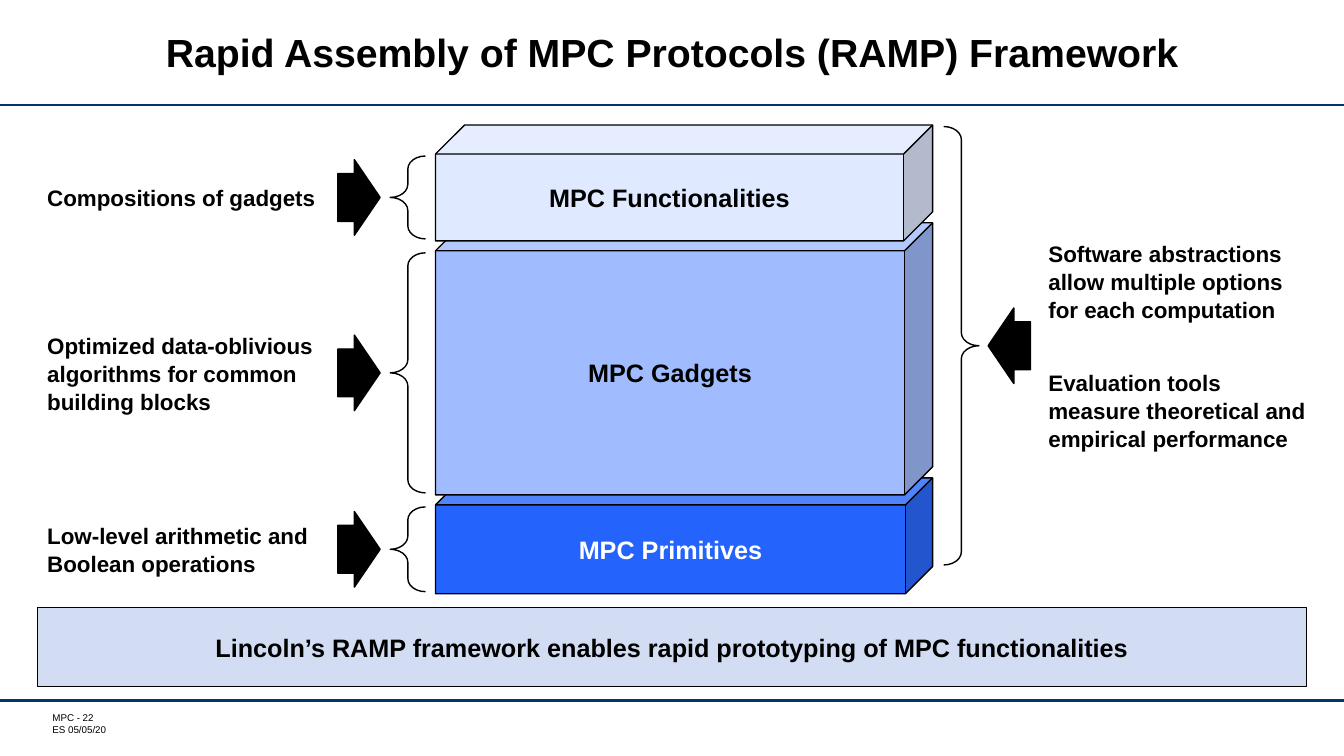
"""Build the RAMP framework slide: a stack of cubes with annotations on both sides."""
from dataclasses import dataclass

import pptx
import pptx.dml.color
import pptx.enum.shapes
import pptx.enum.text
import pptx.oxml
import pptx.oxml.ns
import pptx.util
from lxml import etree

TITLE = "Rapid Assembly of MPC Protocols (RAMP) Framework"
CONCLUSION = "Lincoln’s RAMP framework enables rapid prototyping of MPC functionalities"
FOOTER = ["MPC - 22", "ES 05/05/20"]
BENEFITS = [
    "Software abstractions allow multiple options for each computation",
    "Evaluation tools measure theoretical and empirical performance",
]
LAYERS = [
    dict(name="MPC Primitives", note="Low-level arithmetic and Boolean operations",
         row=(4.74, 1.15), depth=0.234, fill="0B52FC", opacity=89, color="FFFFFF",
         note_size=(3.22, 0.94)),
    dict(name="MPC Gadgets", note="Optimized data-oblivious algorithms for common building blocks",
         row=(2.21, 2.7), depth=0.103, fill="A0BCFE", opacity=100, color="000000",
         note_size=(2.92, 1.5)),
    dict(name="MPC Functionalities", note="Compositions of gadgets",
         row=(1.24, 1.15), depth=0.25, fill="DFE9FF", opacity=100, color="000000",
         note_size=(2.92, 0.94)),
]


@dataclass(frozen=True)
class Theme:
    font: str = "Arial"
    black: str = "000000"
    rule: str = "003767"
    banner: str = "D2DCF2"
    title_size: int = 28
    label_size: int = 18
    note_size: int = 16
    footer_size: int = 7
    title_leading: int = 28
    note_leading: int = 20
    note_gap: int = 32


THEME = Theme()
WIDTH, HEIGHT = 13.33, 7.5
MARGIN = 0.37
RULES = (1.04, 6.95)
STACK_LEFT, STACK_WIDTH = 4.32, 4.93
ARROW_LEFT, BRACE_LEFT = 3.35, 3.87
RIGHT_BRACE, RIGHT_ARROW, RIGHT_NOTE = 9.36, 9.8, 10.3
ARROW_SIZE = (0.42, 0.75)
BRACE_WIDTH, BRACE_TRIM = 0.35, 0.04
RIGHT_MIDDLE, RIGHT_HEIGHT = 3.43, 4.35
ARROW_SHAPE, BRACE_SHAPE = (0.632, 0.608), (0.369, 0.5)
SHAPES = pptx.enum.shapes.MSO_SHAPE
ALIGN = pptx.enum.text.PP_ALIGN
ANCHOR = pptx.enum.text.MSO_ANCHOR


def rgb(value):
    return pptx.dml.color.RGBColor.from_string(value)


def inches(*values):
    return [pptx.util.Inches(value) for value in values]


def write(shape, lines, size, color=THEME.black, bold=True, align=ALIGN.LEFT,
          anchor=ANCHOR.MIDDLE, insets=(0.1, 0.05), leading=None, gap=0):
    frame = shape.text_frame
    frame.text = "\n".join(lines)
    frame.word_wrap = True
    frame.vertical_anchor = anchor
    frame.margin_left = frame.margin_right = pptx.util.Inches(insets[0])
    frame.margin_top = frame.margin_bottom = pptx.util.Inches(insets[1])
    for index, paragraph in enumerate(frame.paragraphs):
        paragraph.alignment = align
        if leading:
            paragraph.line_spacing = pptx.util.Pt(leading)
        if index and gap:
            paragraph.space_before = pptx.util.Pt(gap)
        for run in paragraph.runs:
            run.font.name = THEME.font
            run.font.size = pptx.util.Pt(size)
            run.font.bold = bold
            run.font.color.rgb = rgb(color)


def add_text(slide, box, lines, size, **style):
    write(slide.shapes.add_textbox(*inches(*box)), lines, size, **style)


def add_figure(slide, kind, box, fill=None, opacity=100, line=1, adjustments=()):
    shape = slide.shapes.add_shape(kind, *inches(*box))
    shape.shadow.inherit = False
    shape.line.color.rgb = rgb(THEME.black)
    shape.line.width = pptx.util.Pt(line)
    for index, value in enumerate(adjustments):
        shape.adjustments[index] = value
    if fill is None:
        shape.fill.background()
        return shape
    shape.fill.solid()
    shape.fill.fore_color.rgb = rgb(fill)
    if opacity < 100:
        color = shape.fill._xPr.find(".//" + pptx.oxml.ns.qn("a:srgbClr"))
        etree.SubElement(color, pptx.oxml.ns.qn("a:alpha"), val=str(opacity * 1000))
    return shape


def add_rule(slide, top):
    rule = slide.shapes.add_connector(pptx.enum.shapes.MSO_CONNECTOR.STRAIGHT,
                                      *inches(0, top, WIDTH, top))
    rule.line.color.rgb = rgb(THEME.rule)
    rule.line.width = pptx.util.Pt(1.75)
    etree.SubElement(rule._element.spPr, pptx.oxml.ns.qn("a:effectLst"))


def centred(left, middle, width, height):
    return left, middle - height / 2, width, height


def add_pointer(slide, arrow, arrow_left, brace, brace_left, middle, brace_height):
    add_figure(slide, arrow, centred(arrow_left, middle, *ARROW_SIZE),
               fill=THEME.black, adjustments=ARROW_SHAPE)
    add_figure(slide, brace, centred(brace_left, middle, BRACE_WIDTH, brace_height),
               adjustments=BRACE_SHAPE)


def add_layer(slide, layer):
    top, height = layer["row"]
    cube = add_figure(slide, SHAPES.CUBE, (STACK_LEFT, top, STACK_WIDTH, height),
                      layer["fill"], layer["opacity"], adjustments=[layer["depth"]])
    write(cube, [layer["name"]], THEME.label_size, layer["color"], align=ALIGN.CENTER)
    face_height = height * (1 - layer["depth"])
    middle = top + height - face_height / 2
    add_text(slide, centred(MARGIN, middle, *layer["note_size"]), [layer["note"]],
             THEME.note_size, leading=THEME.note_leading)
    add_pointer(slide, SHAPES.RIGHT_ARROW, ARROW_LEFT, SHAPES.LEFT_BRACE, BRACE_LEFT,
                middle, face_height - BRACE_TRIM)


def main():
    presentation = pptx.Presentation()
    presentation.slide_width, presentation.slide_height = inches(WIDTH, HEIGHT)
    slide = presentation.slides.add_slide(presentation.slide_layouts[6])
    for top in RULES:
        add_rule(slide, top)
    add_text(slide, (0.47, 7.06, 1.59, 0.24), FOOTER, THEME.footer_size, bold=False,
             anchor=ANCHOR.TOP, insets=(0.05, 0))
    add_text(slide, (1.37, 0.11, 10.59, 0.89), [TITLE], THEME.title_size,
             align=ALIGN.CENTER, leading=THEME.title_leading)
    for layer in LAYERS:
        add_layer(slide, layer)
    add_text(slide, centred(RIGHT_NOTE, RIGHT_MIDDLE, 2.76, 3.4), BENEFITS,
             THEME.note_size, leading=THEME.note_leading, gap=THEME.note_gap)
    add_pointer(slide, SHAPES.LEFT_ARROW, RIGHT_ARROW, SHAPES.RIGHT_BRACE, RIGHT_BRACE,
                RIGHT_MIDDLE, RIGHT_HEIGHT)
    banner = add_figure(slide, SHAPES.RECTANGLE, (MARGIN, 6.03, WIDTH - 2 * MARGIN, 0.78),
                        THEME.banner, line=0.75)
    write(banner, [CONCLUSION], THEME.label_size, align=ALIGN.CENTER, insets=(0.13, 0.07))
    presentation.save("out.pptx")


if __name__ == "__main__":
    main()
